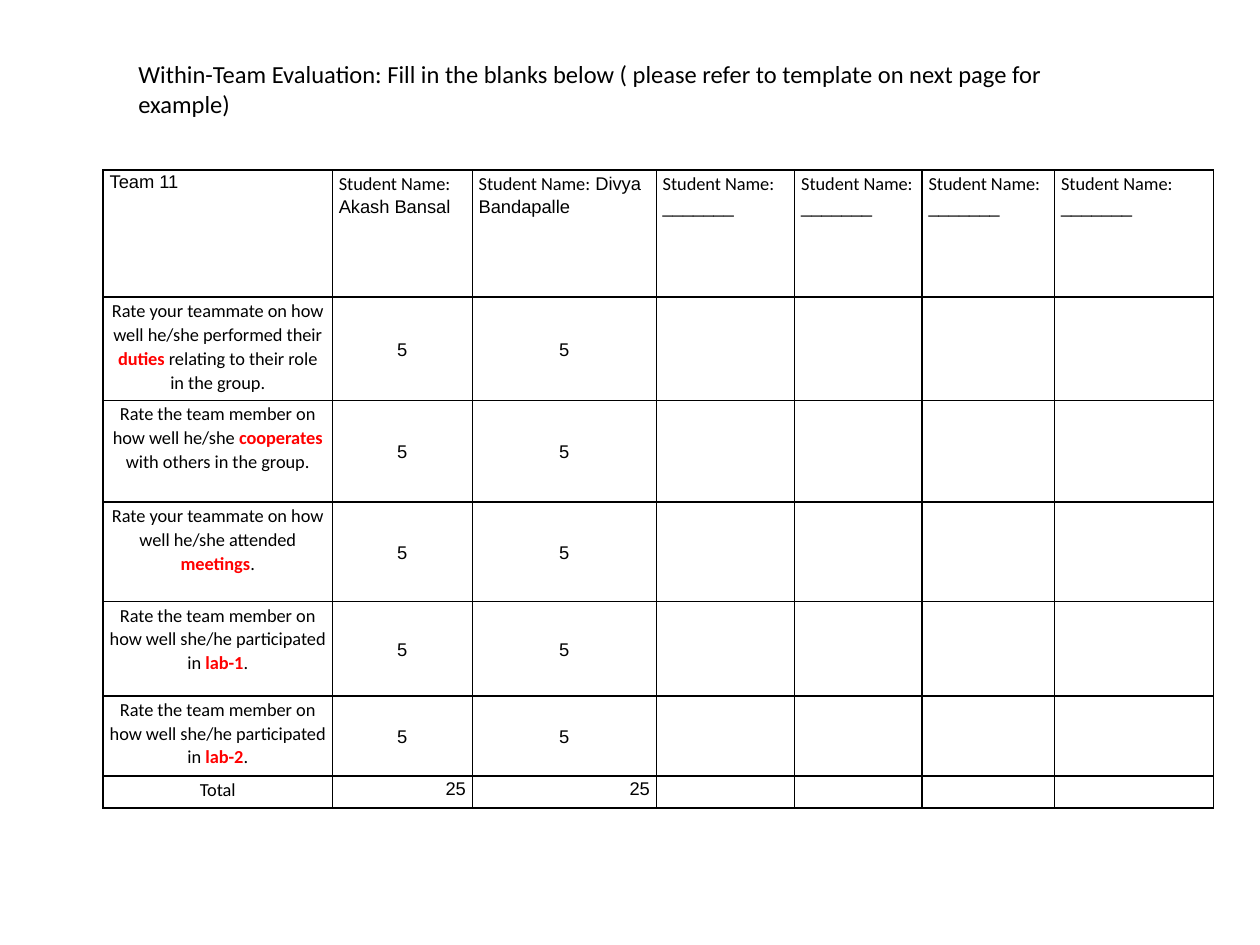
from dataclasses import dataclass

from lxml.etree import SubElement
from pptx import Presentation
from pptx.dml.color import RGBColor
from pptx.enum.text import MSO_ANCHOR as Anchor, MSO_AUTO_SIZE as AutoSize, PP_ALIGN as Align
from pptx.oxml.ns import qn
from pptx.util import Cm, Pt


@dataclass(frozen=True)
class Theme:
    ink: str = "000000"
    accent: str = "FF0000"
    label: str = "Calibri"
    entry: str = "Arial"
    title: float = 14
    body: float = 10.5
    border: float = 1
    spacing: float = 1.07


def write(tf, runs, size, color, align=Align.LEFT, spacing=None):
    p = tf.paragraphs[0]
    p.alignment = align
    if spacing:
        p.line_spacing = spacing
    for text, font, accent in runs:
        r = p.add_run()
        r.text = text
        r.font.name = font
        r.font.size = Pt(size)
        r.font.bold = accent is not None
        r.font.color.rgb = RGBColor.from_string(accent or color)
    if not runs:
        SubElement(p._p, qn("a:endParaRPr"), sz=str(int(size * 100)))


class Sheet:
    """Draws styled elements on the current slide."""

    def __init__(self, slide, theme):
        self.s = slide
        self.theme = theme

    def label(self, text):
        return text, self.theme.label, None

    def entry(self, text):
        return text, self.theme.entry, None

    def keyword(self, text):
        return text, self.theme.label, self.theme.accent

    def heading(self, text, left, top, width, height):
        sp = self.s.shapes.add_textbox(Cm(left), Cm(top), Cm(width), Cm(height))
        tf = sp.text_frame
        tf.word_wrap = True
        tf.auto_size = AutoSize.SHAPE_TO_FIT_TEXT
        write(tf, [self.label(text)], self.theme.title, self.theme.ink)

    def table(self, left, top, widths, heights):
        frame = self.s.shapes.add_table(len(heights), len(widths), Cm(left), Cm(top),
                                        Cm(sum(widths)), Cm(sum(heights)))
        table = frame.table
        table.first_row = table.horz_banding = False
        for column, width in zip(table.columns, widths):
            column.width = Cm(width)
        for row, height in zip(table.rows, heights):
            row.height = Cm(height)
        return table

    def cell(self, cell, runs=(), align=Align.LEFT, anchor=Anchor.TOP, spacing=None):
        cell.margin_left = cell.margin_right = Cm(0.13)
        cell.margin_top, cell.margin_bottom = Cm(0.03), 0
        cell.vertical_anchor = anchor
        write(cell.text_frame, runs, self.theme.body, self.theme.ink, align, spacing)
        tcPr = cell._tc.get_or_add_tcPr()
        for side in ("lnL", "lnR", "lnT", "lnB"):
            ln = SubElement(tcPr, qn(f"a:{side}"), w=str(Pt(self.theme.border)))
            fill = SubElement(ln, qn("a:solidFill"))
            SubElement(fill, qn("a:srgbClr"), val=self.theme.ink)
        cell.fill.background()


WIDTHS = [4.62, 2.82, 3.71, 2.79, 2.57, 2.67, 3.2]
HEIGHTS = [2.56, 2.08, 2.05, 2.01, 1.9, 1.62, 0.64]
STUDENTS = ["Akash Bansal", "Divya Bandapalle"] + ["_______"] * 4
RATED = 2
SCORE = 5
CRITERIA = [
    ("Rate your teammate on how well he/she performed their ", "duties",
     " relating to their role in the group."),
    ("Rate the team member on how well he/she ", "cooperates", " with others in the group."),
    ("Rate your teammate on how well he/she attended ", "meetings", "."),
    ("Rate the team member on how well she/he participated in ", "lab-1", "."),
    ("Rate the team member on how well she/he participated in", " lab-2", "."),
]


def main():
    prs = Presentation()
    prs.slide_width, prs.slide_height = Cm(25.4), Cm(19.05)
    theme = Theme()
    sheet = Sheet(prs.slides.add_slide(prs.slide_layouts[6]), theme)
    table = sheet.table(2.08, 3.43, WIDTHS, HEIGHTS)
    total_row = len(HEIGHTS) - 1

    sheet.cell(table.cell(0, 0), [sheet.entry("Team 11")])
    for col, name in enumerate(STUDENTS, 1):
        sheet.cell(table.cell(0, col), [sheet.label("Student Name:"), sheet.entry(f" {name}")],
                   spacing=theme.spacing)

    for row, (before, key, after) in enumerate(CRITERIA, 1):
        runs = [sheet.label(before), sheet.keyword(key), sheet.label(after)]
        sheet.cell(table.cell(row, 0), runs, Align.CENTER, spacing=theme.spacing)
        for col in range(1, RATED + 1):
            sheet.cell(table.cell(row, col), [sheet.entry(str(SCORE))], Align.CENTER,
                       Anchor.MIDDLE, theme.spacing)

    sheet.cell(table.cell(total_row, 0), [sheet.label("Total")], Align.CENTER,
               spacing=theme.spacing)
    for col in range(1, RATED + 1):
        sheet.cell(table.cell(total_row, col), [sheet.entry(str(SCORE * len(CRITERIA)))],
                   Align.RIGHT, spacing=theme.spacing)

    for row in range(1, len(HEIGHTS)):
        for col in range(RATED + 1, len(WIDTHS)):
            sheet.cell(table.cell(row, col))

    sheet.heading("Within-Team Evaluation: Fill in the blanks below "
                  "( please refer to template on next page for example)",
                  2.54, 1.07, 20.35, 2.06)
    prs.save("out.pptx")


if __name__ == "__main__":
    main()
